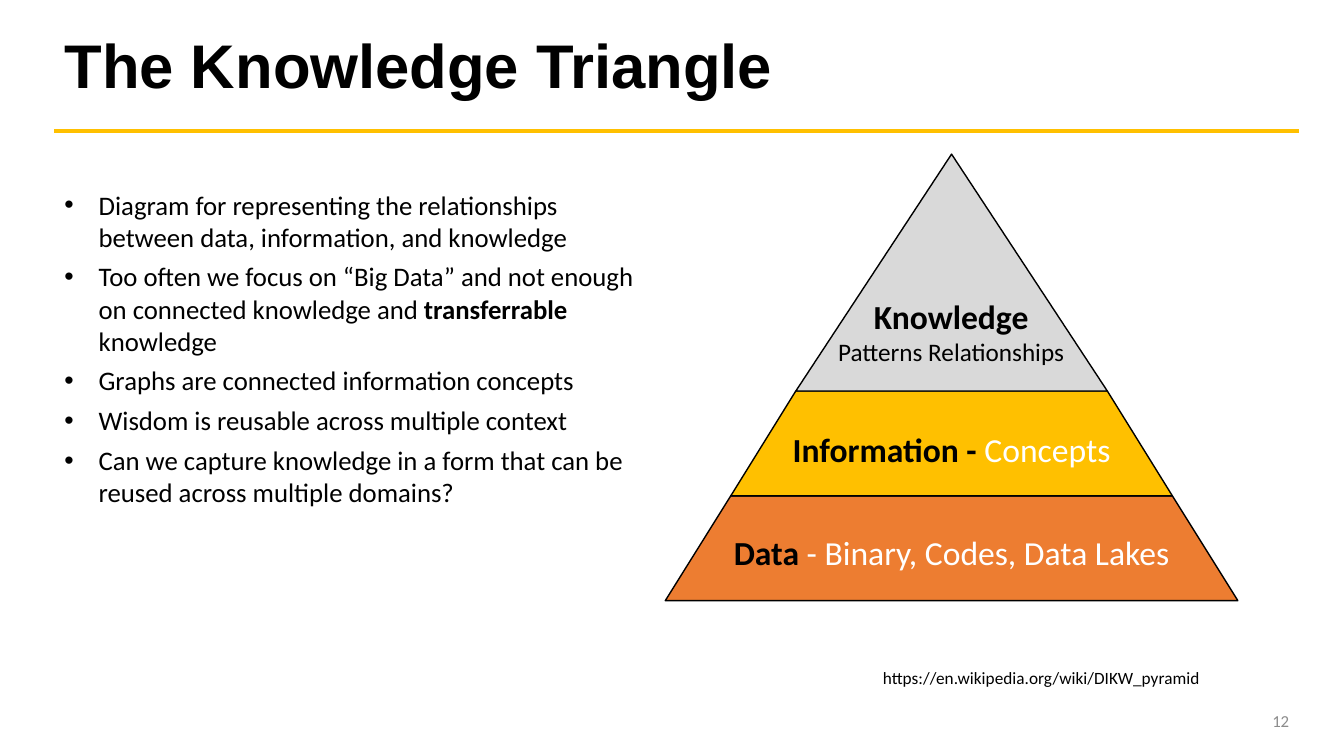
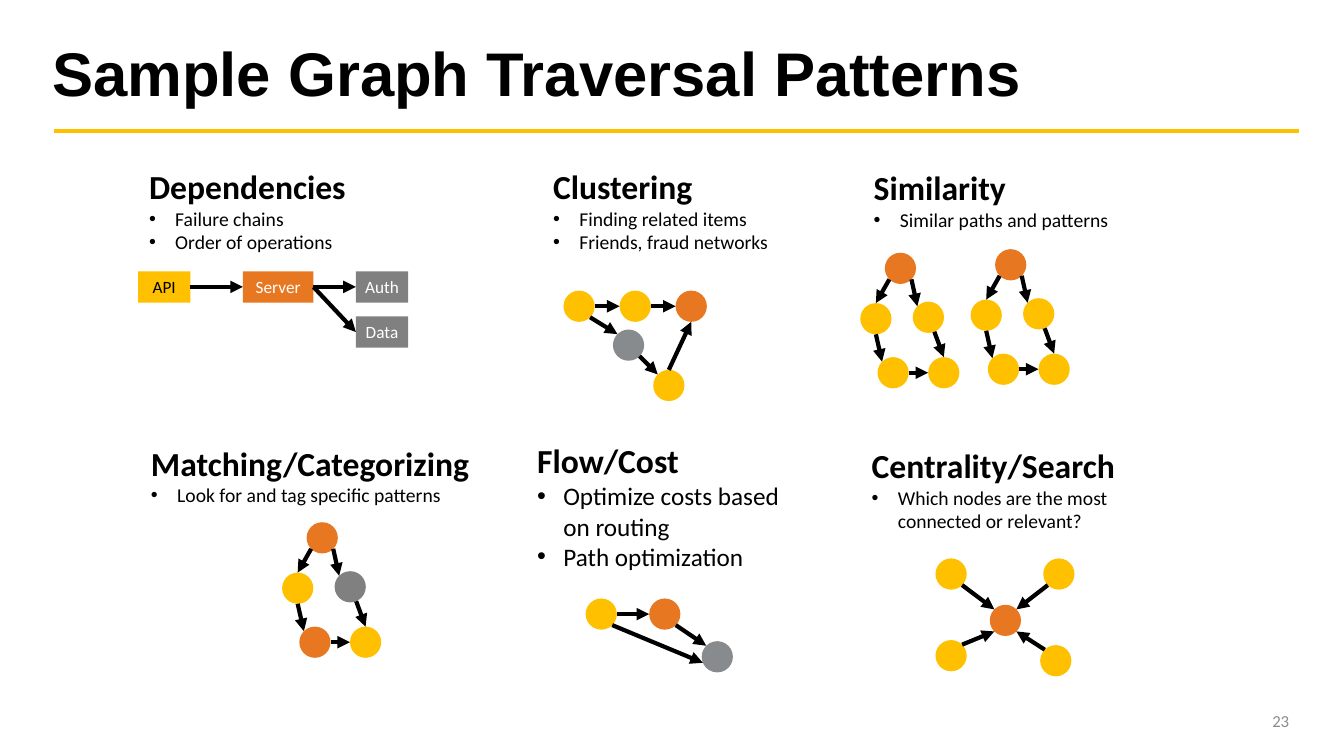
from math import atan2, cos, hypot, pi, sin

from lxml.etree import SubElement
from pptx import Presentation
from pptx.dml.color import RGBColor
from pptx.enum.shapes import MSO_CONNECTOR, MSO_SHAPE
from pptx.enum.text import MSO_ANCHOR, MSO_AUTO_SIZE, PP_ALIGN
from pptx.oxml.ns import qn
from pptx.util import Pt

# Shared style
BLACK, WHITE = "000000", "FFFFFF"
YELLOW, ORANGE, NODE_ORANGE = "FFC000", "ED7D31", "E87722"
GRAY, COOL_GRAY, PALE_GRAY, NUMBER_GRAY = "808080", "888B8D", "D9D9D9", "8C8C8C"
BODY_FONT, TITLE_FONT = "Calibri", "Arial"
NODE_SIZE = 22.3
TOP, LEFT, BOTTOM, RIGHT = range(4)

# Sixteen compass points, clockwise from east
COMPASS = ("e ese se sse s ssw sw wsw w wnw nw nnw n nne ne ene").split()

# Five-node graph, placed relative to its top node
HOUSE_OFFSETS = [(0, 0), (-17.5, 36), (20, 35), (-5.2, 74.6), (31, 74.6)]
HOUSE_EDGES = [(0, "se", 2, "nw"), (0, "sw", 1, "n"), (1, "s", 3, "nw"),
               (2, "sse", 4, "n"), (3, "e", 4, "w")]
SIMILAR_COLORS = [NODE_ORANGE, YELLOW, YELLOW, YELLOW, YELLOW]
MATCHING_COLORS = [NODE_ORANGE, YELLOW, GRAY, NODE_ORANGE, YELLOW]


def color(hex_string):
    return RGBColor.from_string(hex_string)


def add_run(paragraph, text, size, text_color=BLACK, bold=False, font=BODY_FONT):
    run = paragraph.add_run()
    run.text = text
    run.font.name = font
    run.font.size = Pt(size)
    run.font.bold = bold
    run.font.color.rgb = color(text_color)


def make_bullet(paragraph, indent):
    properties = paragraph._p.get_or_add_pPr()
    properties.set("marL", str(Pt(indent)))
    properties.set("indent", str(-Pt(indent)))
    SubElement(properties, qn("a:buFont"), typeface="Arial")
    SubElement(properties, qn("a:buChar"), char="•")


def add_text_box(slide, left, top, width, height, wrap=True):
    box = slide.shapes.add_textbox(Pt(left), Pt(top), Pt(width), Pt(height))
    box.text_frame.word_wrap = wrap
    return box.text_frame


def next_paragraph(frame):
    """Return the empty first paragraph, or a new one."""
    first = frame.paragraphs[0]
    return frame.add_paragraph() if first.runs else first


def add_line(slide, start, end, line_color=BLACK, arrow=False):
    points = [Pt(value) for value in (*start, *end)]
    line = slide.shapes.add_connector(MSO_CONNECTOR.STRAIGHT, *points)
    line.line.color.rgb = color(line_color)
    line.line.width = Pt(3)
    properties = line.element.spPr
    if arrow:
        SubElement(properties.find(qn("a:ln")), qn("a:tailEnd"), type="triangle")
    SubElement(properties, qn("a:effectLst"))
    return line


def add_filled_shape(slide, kind, left, top, width, height, fill, outlined=False):
    shape = slide.shapes.add_shape(kind, Pt(left), Pt(top), Pt(width), Pt(height))
    shape.shadow.inherit = False
    shape.fill.solid()
    shape.fill.fore_color.rgb = color(fill)
    if outlined:
        shape.line.color.rgb = color(BLACK)
        shape.line.width = Pt(1)
    else:
        shape.line.fill.background()
    return shape


def label_shape(shape, runs, size):
    frame = shape.text_frame
    frame.vertical_anchor = MSO_ANCHOR.MIDDLE
    frame.margin_left = frame.margin_right = Pt(5)
    frame.margin_top = frame.margin_bottom = Pt(2.2)
    paragraph = frame.paragraphs[0]
    paragraph.alignment = PP_ALIGN.CENTER
    for text, text_color, bold in runs:
        add_run(paragraph, text, size, text_color, bold)


def add_titled_slide(presentation, title, left, top, number):
    slide = presentation.slides.add_slide(presentation.slide_layouts[5])
    add_line(slide, (38.9, 93.6), (928, 93.6), YELLOW)

    placeholder = slide.shapes.title
    placeholder.left, placeholder.top = Pt(left), Pt(top)
    placeholder.width, placeholder.height = Pt(888.5), Pt(60.5)
    frame = placeholder.text_frame
    frame.auto_size = MSO_AUTO_SIZE.NONE
    frame.vertical_anchor = MSO_ANCHOR.MIDDLE
    paragraph = frame.paragraphs[0]
    paragraph.alignment = PP_ALIGN.LEFT
    paragraph.line_spacing = 0.9
    add_run(paragraph, title, 44, bold=True, font=TITLE_FONT)

    frame = add_text_box(slide, 712, 500.4, 216, 28.8)
    frame.vertical_anchor = MSO_ANCHOR.MIDDLE
    frame.paragraphs[0].alignment = PP_ALIGN.RIGHT
    add_run(frame.paragraphs[0], number, 12, NUMBER_GRAY)
    return slide


def add_pyramid(slide, center, base, layers):
    """Stack trapezoids upwards; each layer is bottom width, top width, height."""
    for bottom_width, top_width, height, fill, runs in layers:
        base -= height
        shape = add_filled_shape(slide, MSO_SHAPE.TRAPEZOID, center - bottom_width / 2,
                                 base, bottom_width, height, fill, outlined=True)
        shape.adjustments[0] = (bottom_width - top_width) / 2 / min(bottom_width, height)
        label_shape(shape, runs, 24)


def add_panel(slide, left, top, width, height, heading, size, bullets):
    frame = add_text_box(slide, left, top, width, height)
    add_run(frame.paragraphs[0], heading, 24, bold=True)
    for text in bullets:
        paragraph = frame.add_paragraph()
        make_bullet(paragraph, 18.7)
        add_run(paragraph, text, size)


def node_edge(node, direction):
    """Return the point on a round node's rim in a compass direction."""
    left, top, _ = node
    angle = COMPASS.index(direction) * pi / 8
    radius = NODE_SIZE / 2
    return left + radius + radius * cos(angle), top + radius + radius * sin(angle)


def add_graph(slide, nodes, edges):
    for left, top, fill in nodes:
        add_filled_shape(slide, MSO_SHAPE.OVAL, left, top, NODE_SIZE, NODE_SIZE, fill)
    for source, leaving, target, entering in edges:
        add_line(slide, node_edge(nodes[source], leaving),
                 node_edge(nodes[target], entering), arrow=True)


def add_house_graph(slide, left, top, colors):
    nodes = [(left + across, top + down, fill)
             for (across, down), fill in zip(HOUSE_OFFSETS, colors)]
    add_graph(slide, nodes, HOUSE_EDGES)


def add_dependency_diagram(slide):
    boxes = {}
    for name, left, top, width, fill, text_color in [
        ("API", 98.6, 193.8, 37.4, YELLOW, BLACK),
        ("Server", 173.5, 193.8, 50.4, NODE_ORANGE, WHITE),
        ("Auth", 254.2, 193.8, 37.4, GRAY, WHITE),
        ("Data", 254.2, 226, 37.4, GRAY, WHITE),
    ]:
        boxes[name] = add_filled_shape(slide, MSO_SHAPE.RECTANGLE, left, top,
                                       width, NODE_SIZE, fill)
        label_shape(boxes[name], [(name, text_color, False)], 12.3)
    for source, target in [("API", "Server"), ("Server", "Auth"), ("Server", "Data")]:
        arrow = add_line(slide, (0, 0), (0, 0), arrow=True)
        arrow.begin_connect(boxes[source], RIGHT)
        arrow.end_connect(boxes[target], LEFT)


def build_triangle_slide(presentation):
    slide = add_titled_slide(presentation, "The Knowledge Triangle", 38.9, 18.7, "12")

    # Source address
    frame = add_text_box(slide, 623.5, 473, 260.6, 22.3)
    add_run(frame.paragraphs[0], "https://en.wikipedia.org/wiki/DIKW_pyramid", 12.3)

    # Bullets, as (text, bold) runs
    frame = add_text_box(slide, 38.9, 131, 435.6, 263.5)
    for runs in [
        [("Diagram for representing the relationships between data, information, "
          "and knowledge", False)],
        [("Too often we focus on “Big Data” and not enough on connected knowledge and ",
          False), ("transferrable", True), (" knowledge", False)],
        [("Graphs are connected information concepts", False)],
        [("Wisdom is reusable across multiple context", False)],
        [("Can we capture knowledge in a form that can be reused across multiple "
          "domains?", False)],
    ]:
        paragraph = next_paragraph(frame)
        make_bullet(paragraph, 24.5)
        paragraph.space_after = Pt(5.5)
        for text, bold in runs:
            add_run(paragraph, text, 19.1, bold=bold)

    # Pyramid
    add_pyramid(slide, 679.7, 429.1, [
        (409, 315.4, 74.9, ORANGE,
         [("Data", BLACK, True), (" - Binary, Codes, Data Lakes", WHITE, False)]),
        (315.4, 222.5, 74.9, YELLOW,
         [("Information - ", BLACK, True), ("Concepts", WHITE, False)]),
        (222.5, 0, 169.2, PALE_GRAY, []),
    ])
    frame = add_text_box(slide, 590.4, 208, 178, 80, wrap=False)
    for text, size, bold in [("Knowledge", 24, True),
                             ("Patterns Relationships", 18, False)]:
        paragraph = next_paragraph(frame)
        paragraph.alignment = PP_ALIGN.CENTER
        add_run(paragraph, text, size, bold=bold)


def build_patterns_slide(presentation):
    slide = add_titled_slide(presentation, "Sample Graph Traversal Patterns",
                             30.2, 24.5, "23")

    # Headings and bullets
    for panel in [
        (99.4, 115.2, 160, 70.6, "Dependencies", 14,
         ["Failure chains", "Order of operations"]),
        (388, 115.2, 176.4, 70.6, "Clustering", 14,
         ["Finding related items", "Friends, fraud networks"]),
        (617, 116, 193.7, 70.6, "Similarity", 14, ["Similar paths and patterns"]),
        (100.8, 312.5, 255, 75, "Matching/Categorizing", 14,
         ["Look for and tag specific patterns"]),
        (376.6, 311, 204.5, 101.5, "Flow/Cost", 18,
         ["Optimize costs based on routing", "Path optimization"]),
        (615.6, 314.6, 230.4, 70.6, "Centrality/Search", 14,
         ["Which nodes are the most connected or relevant?"]),
    ]:
        add_panel(slide, *panel)

    # Dependencies
    add_dependency_diagram(slide)

    # Clustering
    add_graph(slide,
              [(402.5, 207.6, YELLOW), (442.6, 207.6, YELLOW),
               (482.6, 207.6, NODE_ORANGE), (437.8, 235.4, COOL_GRAY),
               (466.6, 264.2, YELLOW)],
              [(0, "e", 1, "w"), (1, "e", 2, "w"), (0, "se", 3, "nw"),
               (3, "se", 4, "nw"), (4, "n", 2, "s")])

    # Similarity and matching
    add_house_graph(slide, 632, 180.5, SIMILAR_COLORS)
    add_house_graph(slide, 710.8, 178, SIMILAR_COLORS)
    add_house_graph(slide, 219, 373, MATCHING_COLORS)

    # Flow
    add_graph(slide,
              [(418.3, 427.5, YELLOW), (463.7, 427.5, NODE_ORANGE),
               (501.2, 458, COOL_GRAY)],
              [(0, "e", 1, "w"), (1, "se", 2, "nw"), (0, "se", 2, "wsw")])

    # Centrality
    add_graph(slide,
              [(707, 432, NODE_ORANGE), (745.2, 398.9, YELLOW), (743, 460.8, YELLOW),
               (668.2, 457.2, YELLOW), (668.2, 398.9, YELLOW)],
              [(1, "sw", 0, "ne"), (2, "nw", 0, "se"),
               (3, "ne", 0, "sw"), (4, "se", 0, "nw")])


def main():
    presentation = Presentation()
    presentation.slide_width, presentation.slide_height = Pt(960), Pt(540)
    build_triangle_slide(presentation)
    build_patterns_slide(presentation)
    presentation.save("out.pptx")


if __name__ == "__main__":
    main()
